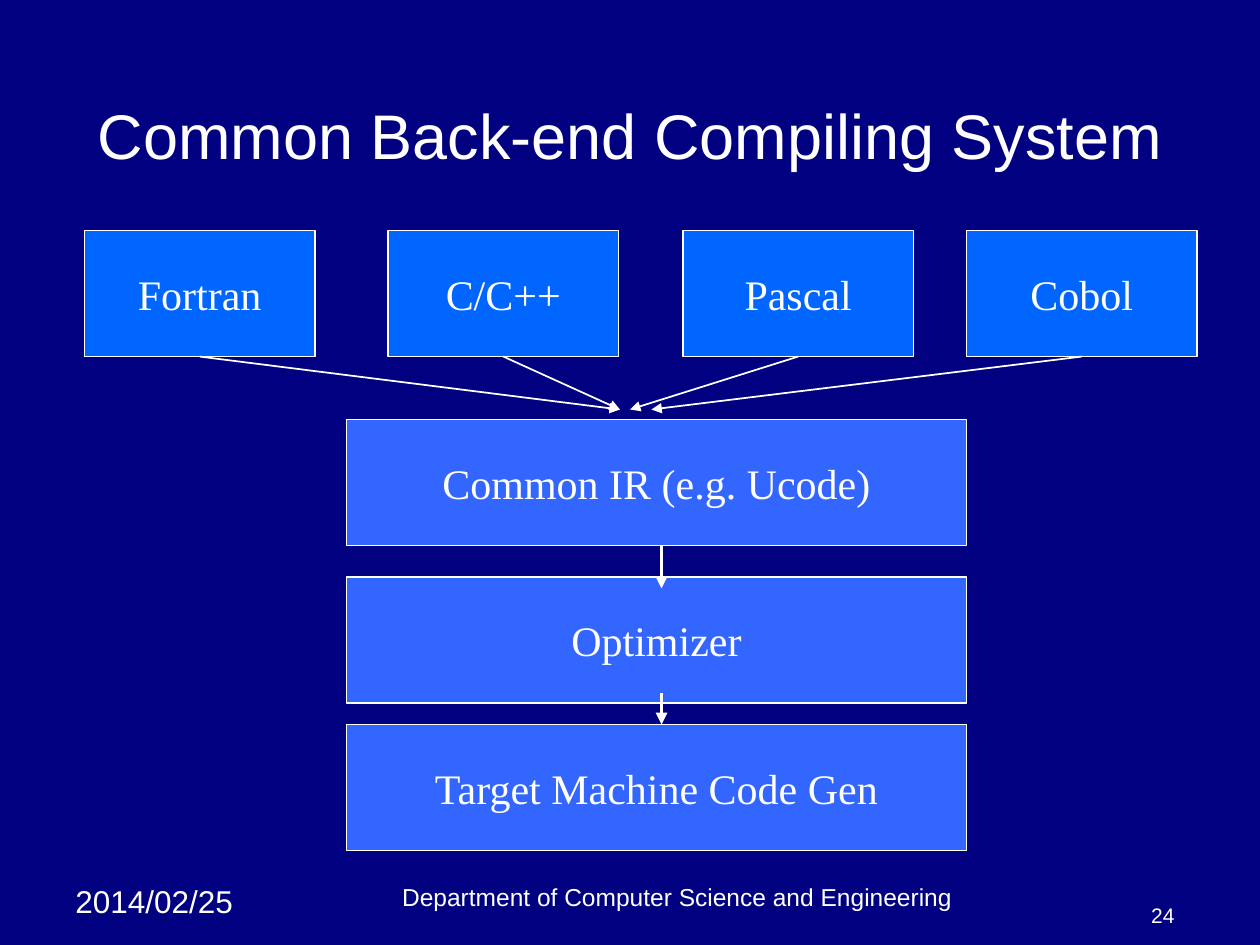
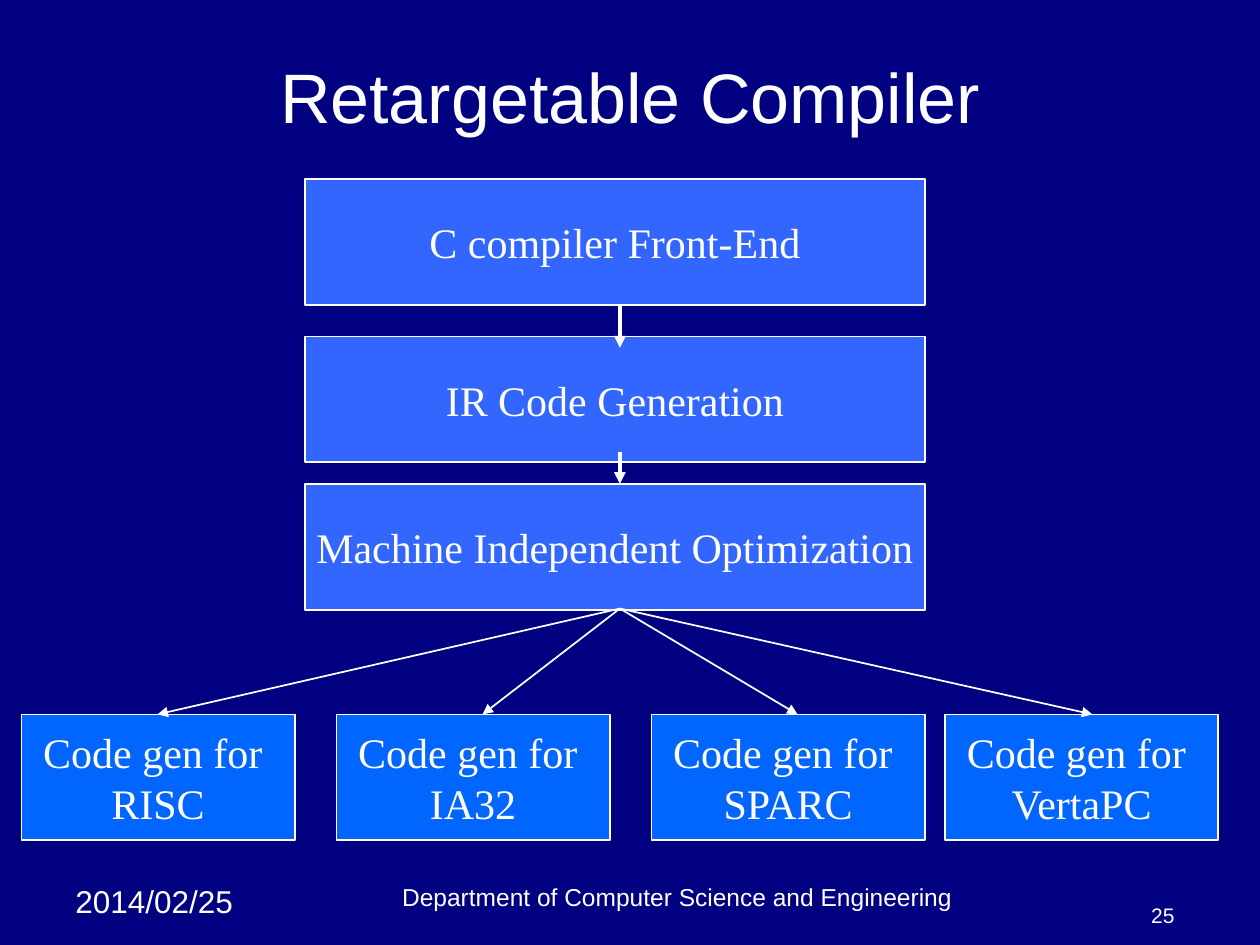
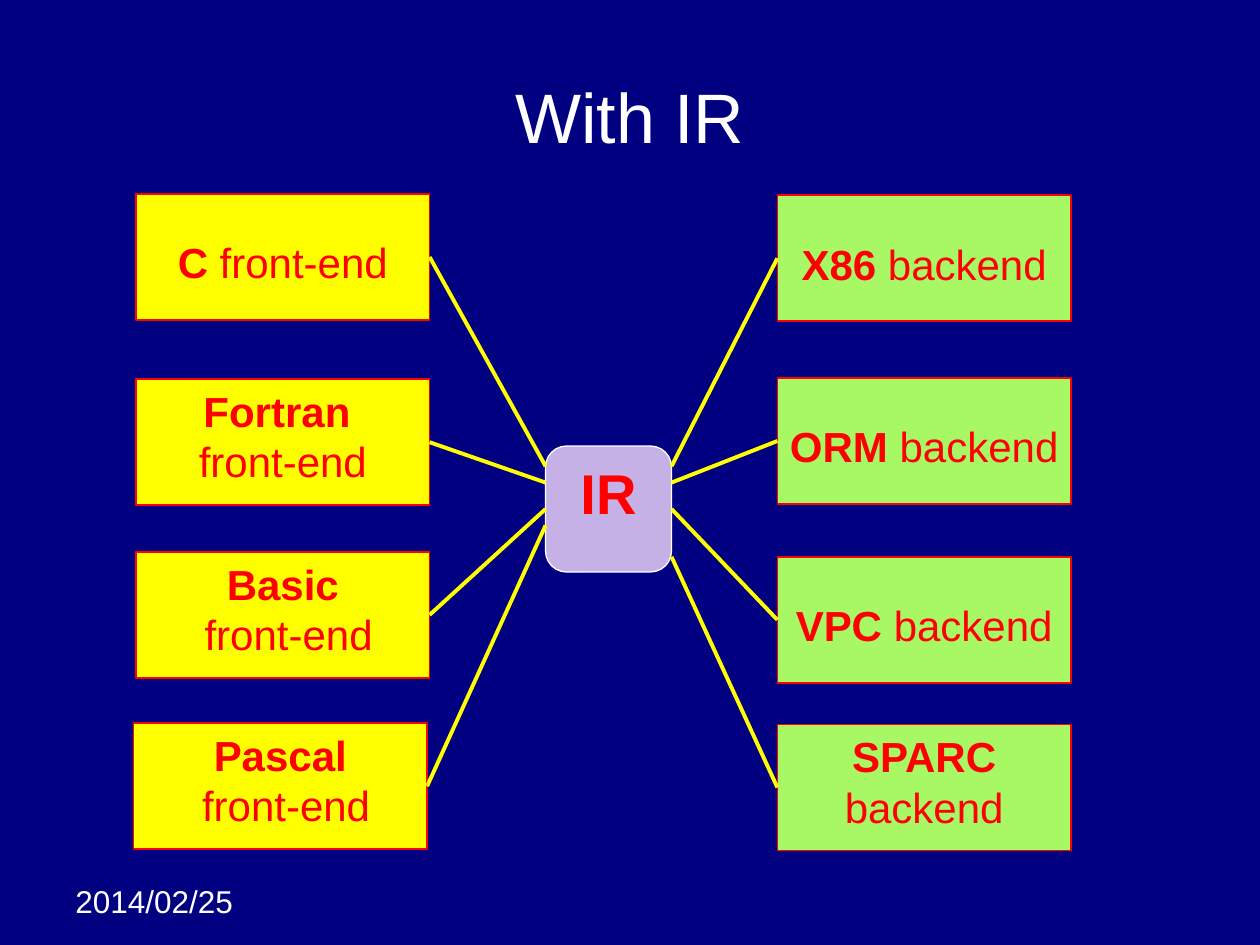
from dataclasses import dataclass

from pptx import Presentation
from pptx.dml.color import RGBColor
from pptx.enum import shapes, text
from pptx.oxml.ns import qn
from pptx.util import Inches, Pt
from lxml import etree


@dataclass(frozen=True)
class Theme:
    navy: str = "000080"
    white: str = "FFFFFF"
    bright_blue: str = "0066FF"
    soft_blue: str = "3366FF"
    yellow: str = "FFFF00"
    green: str = "A7F864"
    lilac: str = "C5B1E5"
    red: str = "FF0000"
    sans: str = "Arial"
    serif: str = "Times New Roman"
    title: int = 40
    long_title: int = 36
    hub: int = 32
    body: int = 24
    date: int = 18
    footer: int = 14
    number: int = 12
    thin: float = 1
    thick: float = 2.25


T = Theme()
LEFT, CENTER, RIGHT = text.PP_ALIGN.LEFT, text.PP_ALIGN.CENTER, text.PP_ALIGN.RIGHT
TOP, MIDDLE, BOTTOM = text.MSO_ANCHOR.TOP, text.MSO_ANCHOR.MIDDLE, text.MSO_ANCHOR.BOTTOM
RECT, ROUNDED = shapes.MSO_SHAPE.RECTANGLE, shapes.MSO_SHAPE.ROUNDED_RECTANGLE
BOX_H = 1


def rgb(color):
    return RGBColor.from_string(color)


def format_runs(p, size, color, font=T.sans, bold=False):
    for r in p.runs:
        r.font.name, r.font.size, r.font.bold = font, Pt(size), bold
        r.font.color.rgb = rgb(color)


def write(sp, words, size, color=T.white, font=T.sans, align=CENTER, anchor=MIDDLE,
          bold=False, wrap=True):
    tf = sp.text_frame
    tf.text = words
    tf.word_wrap = wrap
    tf.vertical_anchor = anchor
    for p in tf.paragraphs:
        p.alignment = align
        format_runs(p, size, color, font, bold)


def add_label(s, at, words, size, align, anchor):
    sp = s.shapes.add_textbox(*map(Inches, at))
    write(sp, words, size, align=align, anchor=anchor)


def add_box(s, at, fill, line=T.white, width=T.thin, kind=RECT):
    sp = s.shapes.add_shape(kind, *map(Inches, at))
    sp.shadow.inherit = False
    sp.fill.solid()
    sp.fill.fore_color.rgb = rgb(fill)
    sp.line.color.rgb = rgb(line)
    sp.line.width = Pt(width)
    return sp


def add_step(s, at, words, fill):
    write(add_box(s, at, fill), words, T.body, font=T.serif, wrap=False)


def add_line(s, start, end, color=T.white, width=T.thin, arrow=True):
    c = s.shapes.add_connector(shapes.MSO_CONNECTOR.STRAIGHT, *map(Inches, (*start, *end)))
    c.line.color.rgb = rgb(color)
    c.line.width = Pt(width)
    if arrow:
        etree.SubElement(c.line._get_or_add_ln(), qn("a:tailEnd"), type="triangle")
    etree.SubElement(c._element.spPr, qn("a:effectLst"))


def add_slide(prs, title, top, height, size=T.title, number=None):
    s = prs.slides.add_slide(prs.slide_layouts[5])
    sp = s.shapes.title
    sp.left, sp.top, sp.width, sp.height = map(Inches, (0.5, top, 9, height))
    write(sp, title, size)
    add_label(s, (0.5, 6.95, 1.58, 0.4), "2014/02/25", T.date, LEFT, TOP)
    if number:
        add_label(s, (2, 6.95, 6.75, 0.33), "Department of Computer Science and Engineering",
                  T.footer, CENTER, BOTTOM)
        add_label(s, (8.75, 7.08, 0.67, 0.33), number, T.number, RIGHT, BOTTOM)
    return s


def add_stack(s, left, top, steps):
    """Three wide steps from top to bottom, joined by two thick arrows."""
    for dy, words in zip((0, 1.25, 2.42), steps):
        add_step(s, (left, top + dy, 4.92, BOX_H), words, T.soft_blue)
    x = left + 2.5
    for start, end in ((2.17, 2.42), (1, 1.34)):
        add_line(s, (x, top + start), (x, top + end), width=T.thick)


def add_end(s, left, top, name, rest, fill):
    """A front-end or backend box; a line break in rest starts a second line."""
    sp = add_box(s, (left, top, 2.33, BOX_H), fill, T.red)
    write(sp, name + rest, T.body, T.red, anchor=TOP)
    tf = sp.text_frame
    first = tf.paragraphs[0]
    if len(tf.paragraphs) == 1:
        first.text = name
        first.add_run().text = rest
    format_runs(first, T.body, T.red, bold=True)
    if len(first.runs) > 1:
        first.runs[1].font.bold = False
    return tf


def common_back_end(prs):
    s = add_slide(prs, "Common Back-end Compiling System", 0.58, 0.97, T.long_title, "24")
    top, width = 1.83, 1.83
    sources = (("Fortran", 0.67, 4.92), ("C/C++", 3.08, 4.92),
               ("Pascal", 5.42, 5), ("Cobol", 7.67, 5.17))
    for words, left, target in sources:
        add_step(s, (left, top, width, BOX_H), words, T.bright_blue)
        add_line(s, (left + width / 2, top + BOX_H), (target, 3.25))
    add_stack(s, 2.75, 3.33,
              ("Common IR (e.g. Ucode)", "Optimizer", "Target Machine Code Gen"))


def retargetable(prs):
    s = add_slide(prs, "Retargetable Compiler", 0.3, 0.92, number="25")
    add_stack(s, 2.42, 1.42, ("C compiler Front-End", "IR Code Generation",
                              "Machine Independent Optimization"))
    top = 5.67
    targets = (("RISC", 0.17, 1.25), ("IA32", 2.67, 3.83),
               ("SPARC", 5.17, 6.33), ("VertaPC", 7.5, 8.67))
    for name, left, tip in targets:
        add_step(s, (left, top, 2.17, BOX_H), f"Code gen for \n{name}", T.bright_blue)
        add_line(s, (4.92, 4.83), (tip, top))


def with_ir(prs):
    s = add_slide(prs, "With IR", 0.42, 1)
    hub_left, hub_right, lowered = 4.33, 5.33, Inches(0.34)
    hub = add_box(s, (hub_left, 3.54, 1, 1), T.lilac, width=0.75, kind=ROUNDED)
    write(hub, "IR", T.hub, T.red, anchor=TOP, bold=True)

    front_ends = (("C", " front-end", 1.08, 1.54, 3.7),
                  ("Fortran ", "\nfront-end", 1.08, 3.01, 3.83),
                  ("Basic", "\n front-end", 1.08, 4.38, 4.04),
                  ("Pascal", "\n front-end", 1.06, 5.74, 4.17))
    for name, rest, left, top, joint in front_ends:
        tf = add_end(s, left, top, name, rest, T.yellow)
        if name == "C":
            tf.margin_top = lowered
        add_line(s, (left + 2.33, top + BOX_H / 2), (hub_left, joint),
                 T.yellow, T.thick, arrow=False)

    backends = (("X86", 1.55, 3.7), ("ORM", 3, 3.83), ("VPC", 4.42, 4.04), ("SPARC", 5.75, 4.42))
    for name, top, joint in backends:
        tf = add_end(s, 6.17, top, name, " backend", T.green)
        if name != "SPARC":
            tf.margin_top = lowered
        add_line(s, (hub_right, joint), (6.17, top + BOX_H / 2),
                 T.yellow, T.thick, arrow=False)


def main():
    prs = Presentation()
    prs.slide_width, prs.slide_height = Inches(10), Inches(7.5)
    fill = prs.slide_master.background.fill
    fill.solid()
    fill.fore_color.rgb = rgb(T.navy)
    common_back_end(prs)
    retargetable(prs)
    with_ir(prs)
    prs.save("out.pptx")


if __name__ == "__main__":
    main()
